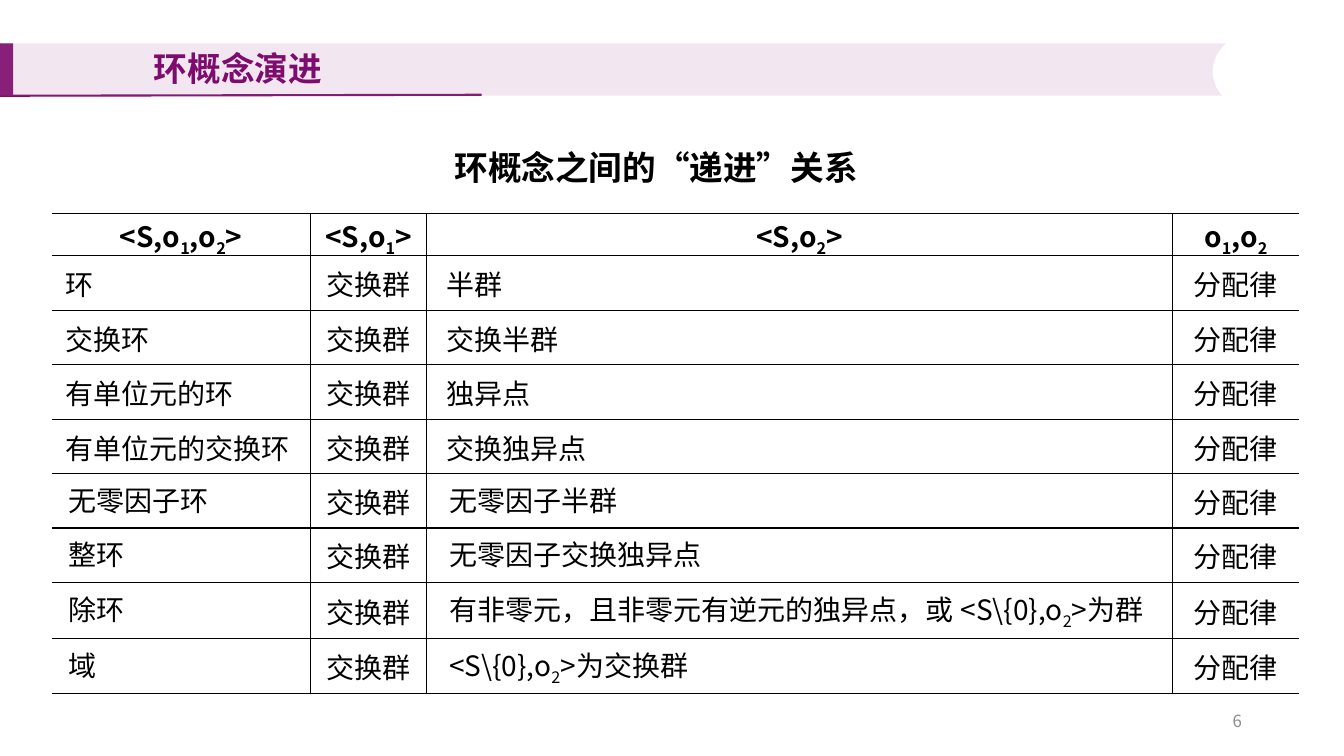
from lxml import etree
from pptx import Presentation
from pptx import util as u
from pptx.dml.color import RGBColor
from pptx.enum import shapes, text
from pptx.oxml.ns import qn

FONT = "Noto Sans CJK SC"
PLUM = RGBColor(0x7E, 0x0C, 0x6E)
LILAC = RGBColor(0xB8, 0x7A, 0xAF)
BLACK = RGBColor(0, 0, 0)
WHITE = RGBColor(0xFF, 0xFF, 0xFF)
GREY = RGBColor(0x8C, 0x8C, 0x8C)
LEFT, MID, RIGHT = (text.PP_ALIGN.LEFT, text.PP_ALIGN.CENTER,
                    text.PP_ALIGN.RIGHT)
TOP, CORE = text.MSO_ANCHOR.TOP, text.MSO_ANCHOR.MIDDLE

WIDTHS = [185, 82.8, 532.8, 90.7]
HEIGHTS = [30.2] + [38.9] * 6 + [40.3, 38.9]
HEADS = ["<S,o_1,o_2>", "<S,o_1>", "<S,o_2>", "o_1,o_2"]
RINGS = [
    ("环", "半群"),
    ("交换环", "交换半群"),
    ("有单位元的环", "独异点"),
    ("有单位元的交换环", "交换独异点"),
    ("无零因子环", "无零因子半群"),
    ("整环", "无零因子交换独异点"),
    ("除环", "有非零元，且非零元有逆元的独异点，或 <S\\{0},o_2>为群"),
    ("域", "<S\\{0},o_2>为交换群"),
]
TIGHT = 4  # rings set with small margins; the later ones sit at the top


def put(item, values):
    for name, value in values.items():
        setattr(item, name, value)


def add_run(para, words, style, sub=False):
    run = para.add_run()
    run.text = words
    look = dict(style)
    run.font.color.rgb = look.pop("color")
    put(run.font, {"name": FONT, **look})
    props = run._r.get_or_add_rPr()
    etree.SubElement(props, qn("a:ea"), typeface=FONT)
    if sub:
        props.set("baseline", "-25000")


def write(frame, words, align, style):
    """Write one line; the character after each "_" is a subscript."""
    para = frame.paragraphs[0]
    para.alignment = align
    first, *rest = words.split("_")
    if first:
        add_run(para, first, style)
    for part in rest:
        add_run(para, part[0], style, sub=True)
        if part[1:]:
            add_run(para, part[1:], style)


def add_text(slide, box, words, align, style, anchor=TOP):
    frame = slide.shapes.add_textbox(*map(u.Pt, box)).text_frame
    put(frame, {"word_wrap": True, "vertical_anchor": anchor})
    write(frame, words, align, style)


def add_form(slide, kind, box, color, alpha=None):
    form = slide.shapes.add_shape(kind, *map(u.Pt, box))
    form.shadow.inherit = False
    form.fill.solid()
    form.fill.fore_color.rgb = color
    form.line.fill.background()
    if alpha:
        tint = form._element.spPr.find(".//" + qn("a:srgbClr"))
        etree.SubElement(tint, qn("a:alpha"), val=str(alpha * 1000))


def add_rule(slide, start, end, color, width):
    rule = slide.shapes.add_connector(
        shapes.MSO_CONNECTOR.STRAIGHT, *map(u.Pt, start + end))
    rule.line.color.rgb = color
    rule.line.width = u.Pt(width)
    etree.SubElement(rule._element.spPr, qn("a:effectLst"))


def add_band(slide, box, title):
    x, y, w, h = box
    rect = shapes.MSO_SHAPE.RECTANGLE
    # Underline, end bar, pale band and its rounded bite
    add_rule(slide, (x, y + h), (x + 344, y + h - 0.7), PLUM, 1.5)
    add_form(slide, rect, (x, y, 9.4, h - 0.7), PLUM)
    add_form(slide, rect, box, LILAC, alpha=18)
    add_form(slide, shapes.MSO_SHAPE.OVAL,
             (x + w - 12.2, y - 9.4, 72, 59), WHITE)
    # Title
    add_text(slide, (x + 1.4, y, 337, 36), title, MID,
             {"size": u.Pt(24), "bold": True, "color": PLUM})


def add_edge(cell, side, shown):
    edge = etree.SubElement(cell._tc.get_or_add_tcPr(), qn("a:ln" + side),
                            w=str(u.Pt(1)))
    if shown:
        fill = etree.SubElement(edge, qn("a:solidFill"))
        etree.SubElement(fill, qn("a:srgbClr"), val=str(BLACK))
    else:
        etree.SubElement(edge, qn("a:noFill"))


def fill_cell(cell, row, col, words):
    last = len(WIDTHS) - 1
    edges = {"L": col > 0, "R": col < last, "T": True, "B": True}
    for side, shown in edges.items():
        add_edge(cell, side, shown)
    cell.fill.background()
    # Margins: the two text columns are indented below the header
    pads = {"left": 0.7, "right": 0.7, "top": 0.7, "bottom": 0}
    align, anchor = MID, CORE
    if row and col in (0, 2):
        align = LEFT
        pads["left"] = 9.7 if col == 0 else 14.2
        if row > TIGHT:
            anchor = TOP
            pads["left"] += 2
            pads["top"] = pads["bottom"] = 3.6
    put(cell, {"margin_" + side: u.Pt(pad) for side, pad in pads.items()})
    cell.vertical_anchor = anchor
    write(cell.text_frame, words, align,
          {"size": u.Pt(20), "bold": row == 0, "color": BLACK})


def add_grid(slide, x, y):
    rows = [HEADS] + [(ring, "交换群", group, "分配律")
                      for ring, group in RINGS]
    box = (x, y, sum(WIDTHS), sum(HEIGHTS))
    grid = slide.shapes.add_table(
        len(rows), len(WIDTHS), *map(u.Pt, box)).table
    put(grid, {"first_row": False, "horz_banding": False})
    for col, width in zip(grid.columns, WIDTHS):
        col.width = u.Pt(width)
    for row, height in zip(grid.rows, HEIGHTS):
        row.height = u.Pt(height)
    for i, row in enumerate(rows):
        for j, words in enumerate(row):
            fill_cell(grid.cell(i, j), i, j, words)


def main():
    deck = Presentation()
    put(deck, {"slide_width": u.Pt(960), "slide_height": u.Pt(540)})
    slide = deck.slides.add_slide(deck.slide_layouts[6])
    add_band(slide, (0, 31, 878.4, 37.4), "环概念演进")
    add_grid(slide, 36.9, 152.5)
    # Table heading and page number
    add_text(slide, (288, 101.5, 361.4, 36), "环概念之间的“递进”关系", MID,
             {"size": u.Pt(24), "bold": True, "color": BLACK})
    add_text(slide, (678.2, 500.4, 216, 28.8), "6", RIGHT,
             {"size": u.Pt(12), "color": GREY}, CORE)
    deck.save("out.pptx")


if __name__ == "__main__":
    main()
